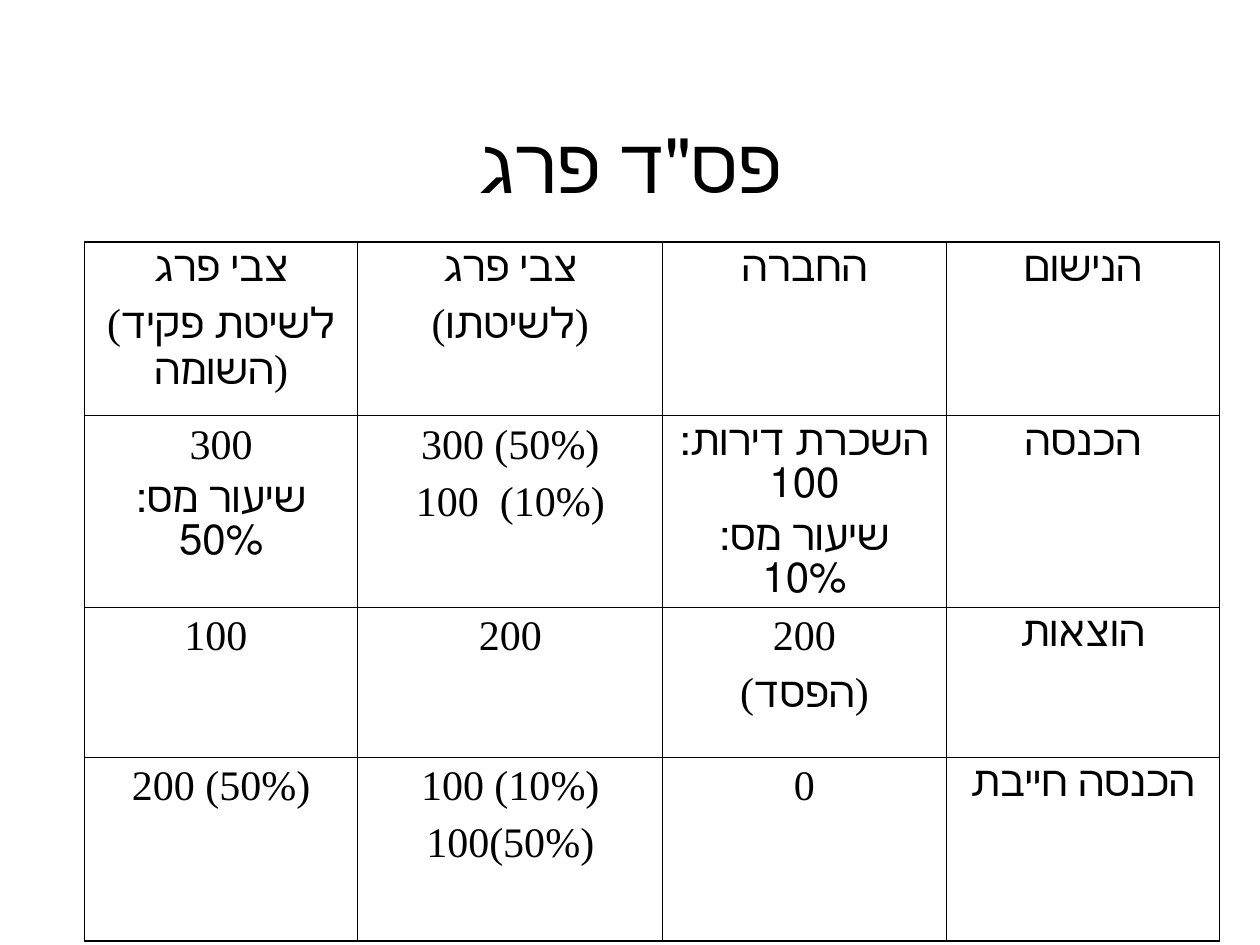
from typing import NamedTuple

from lxml import etree
from pptx import Presentation
from pptx.dml.color import RGBColor
from pptx.enum.text import MSO_ANCHOR, PP_ALIGN
from pptx.oxml.ns import qn
from pptx.util import Inches, Pt

CENTER = PP_ALIGN.CENTER
MIDDLE = MSO_ANCHOR.MIDDLE
TOP = MSO_ANCHOR.TOP
TITLE_ONLY = 5
FONT = "Times New Roman"
COLORS = {"ink": "000000"}
OUTER_WIDTH, INNER_WIDTH = Pt(1.08), Pt(0.45)


class Row(NamedTuple):
    height: float
    cells: tuple[str, ...]


COLUMN_WIDTHS = (2.17, 2.42, 2.25, 2.17)
ROWS = (
    Row(1.38, ("צבי פרג\n(לשיטת פקיד השומה)", "צבי פרג\n(לשיטתו)", "החברה", "הנישום")),
    Row(1.38, ("300\nשיעור מס: 50%", "300 (50%)\n100  (10%)",
               "השכרת דירות: 100\nשיעור מס: 10%", "הכנסה")),
    Row(1.19, ("100 ", "200", "200\n(הפסד)", "הוצאות")),
    Row(1.46, ("200 (50%)", "100 (10%)\n100(50%)", "0", "הכנסה חייבת")),
)


def format_text(frame, size: int) -> None:
    for index, para in enumerate(frame.paragraphs):
        para.alignment = CENTER
        para.space_before = Pt(6 if index else 0)
        for span in para.runs:
            span.font.name = FONT
            span.font.size = Pt(size)
            span.font.color.rgb = RGBColor.from_string(COLORS["ink"])


def set_borders(cell, row: int, column: int) -> None:
    """Draw thin inner lines and a thicker line on the table's outer edges."""
    outer_edges = {
        "a:lnL": column == 0,
        "a:lnR": column == len(COLUMN_WIDTHS) - 1,
        "a:lnT": row == 0,
        "a:lnB": row == len(ROWS) - 1,
    }
    properties = cell._tc.get_or_add_tcPr()
    for position, (tag, is_outer) in enumerate(outer_edges.items()):
        line = etree.Element(qn(tag), w=str(OUTER_WIDTH if is_outer else INNER_WIDTH))
        fill = etree.SubElement(line, qn("a:solidFill"))
        etree.SubElement(fill, qn("a:srgbClr"), val=COLORS["ink"])
        properties.insert(position, line)


def add_title(slide, text: str) -> None:
    title = slide.shapes.title
    title.left, title.top = Inches(0.75), Inches(0.67)
    title.width, title.height = Inches(8.5), Inches(1.25)
    title.text_frame.text = text
    title.text_frame.vertical_anchor = MIDDLE
    format_text(title.text_frame, 44)


def add_tax_table(slide) -> None:
    total_height = sum(row.height for row in ROWS)
    table = slide.shapes.add_table(
        len(ROWS), len(COLUMN_WIDTHS), Inches(0.67), Inches(1.92),
        Inches(sum(COLUMN_WIDTHS)), Inches(total_height)).table
    table.first_row = False
    table.horz_banding = False
    for column, width in zip(table.columns, COLUMN_WIDTHS):
        column.width = Inches(width)
    for row_index, row in enumerate(ROWS):
        table.rows[row_index].height = Inches(row.height)
        for column_index, text in enumerate(row.cells):
            cell = table.cell(row_index, column_index)
            cell.text_frame.text = text
            cell.vertical_anchor = TOP
            cell.fill.background()
            format_text(cell.text_frame, 24)
            set_borders(cell, row_index, column_index)


def main() -> None:
    deck = Presentation()
    deck.slide_width, deck.slide_height = Inches(10), Inches(7.5)
    page = deck.slides.add_slide(deck.slide_layouts[TITLE_ONLY])
    add_title(page, 'פס"ד פרג')
    add_tax_table(page)
    deck.save("out.pptx")


if __name__ == "__main__":
    main()
